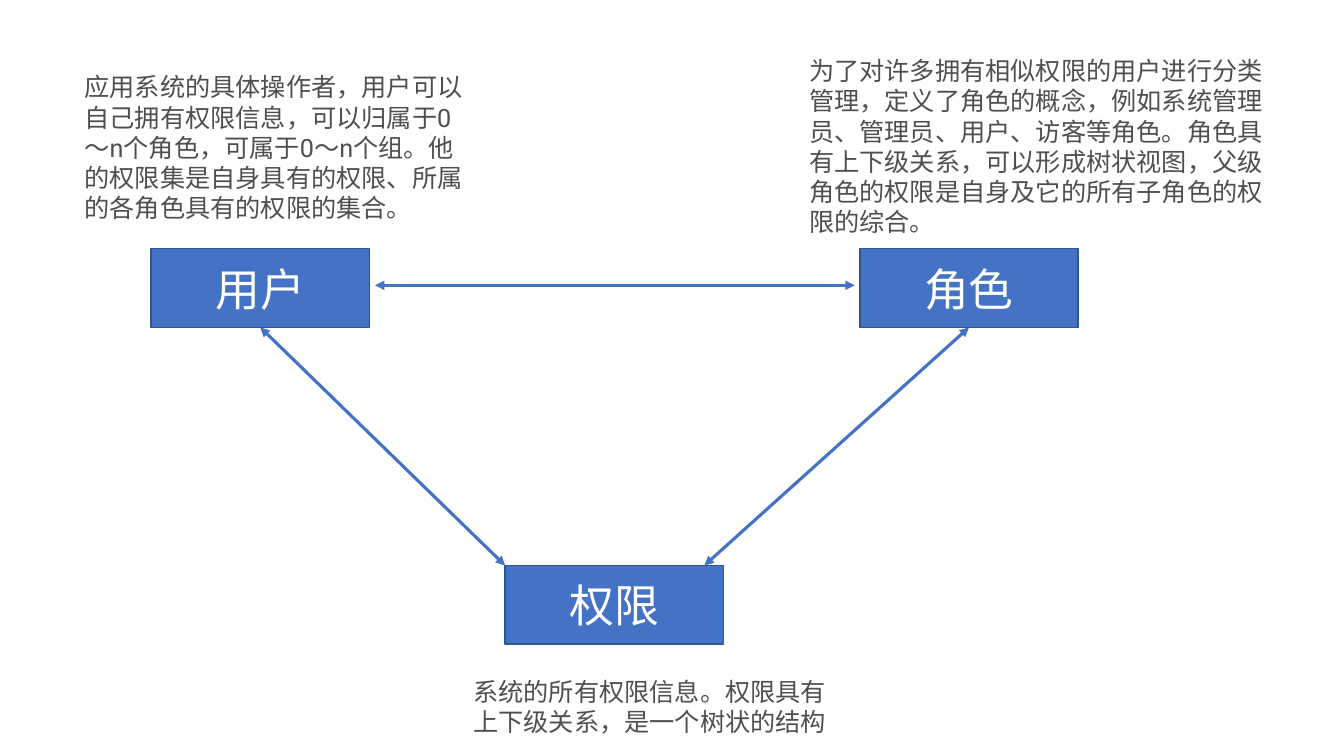
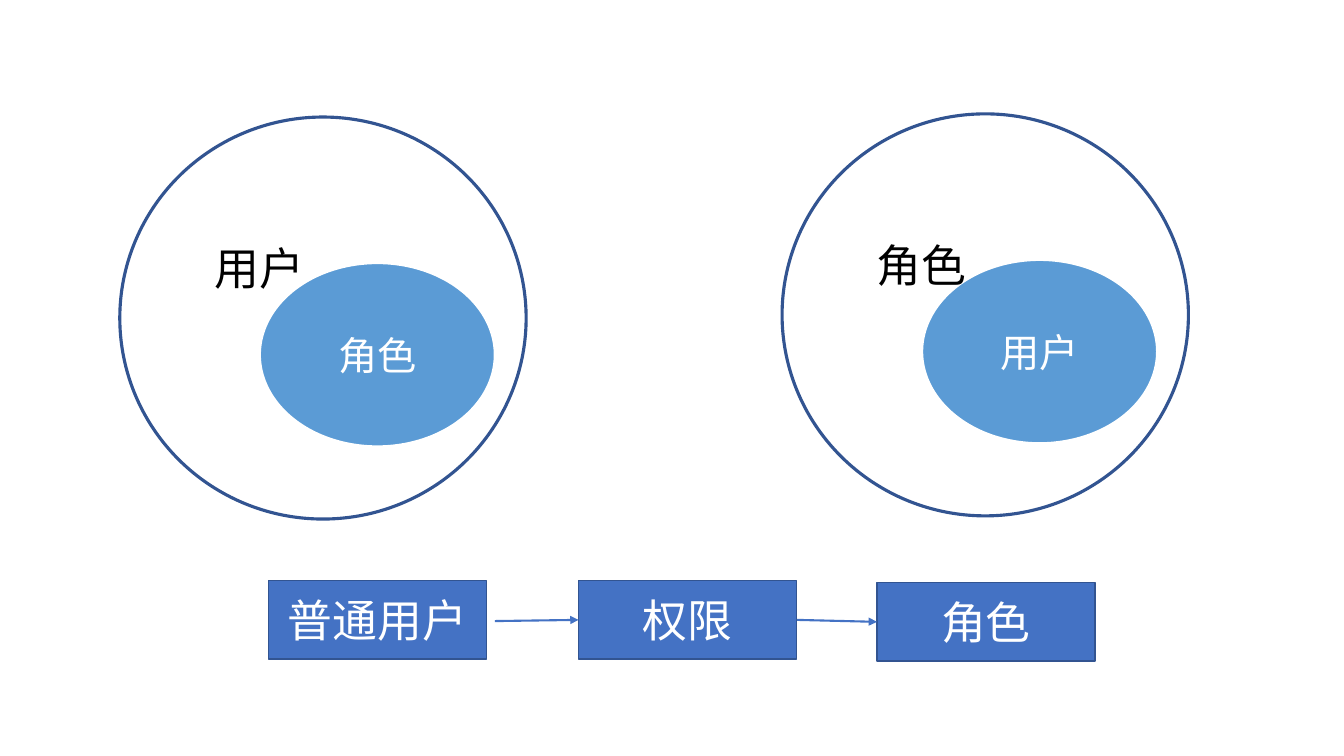
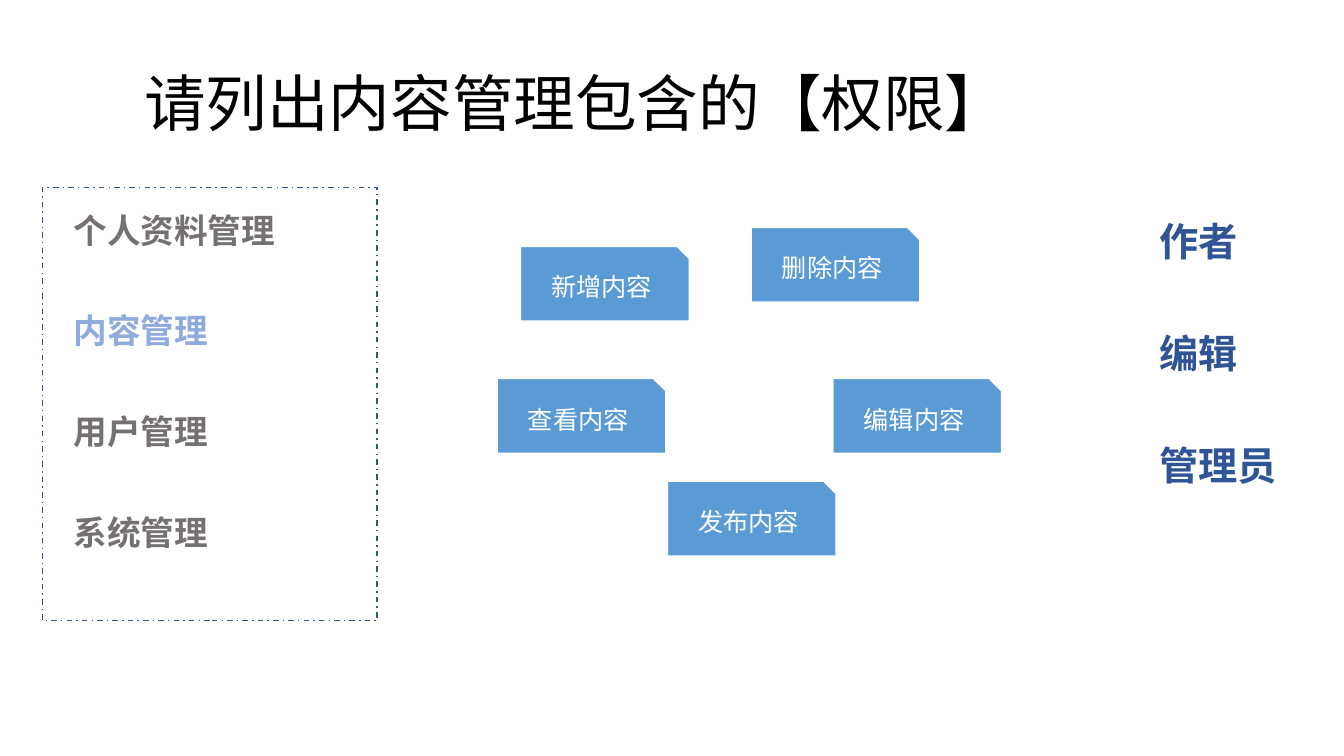
from lxml import etree
from pptx import Presentation
from pptx.dml.color import RGBColor
from pptx.enum.dml import MSO_LINE
from pptx.enum.shapes import MSO_CONNECTOR, MSO_SHAPE
from pptx.enum.text import MSO_ANCHOR, MSO_AUTO_SIZE, PP_ALIGN
from pptx.oxml.ns import qn
from pptx.util import Cm, Pt

RECTANGLE = MSO_SHAPE.RECTANGLE
OVAL = MSO_SHAPE.OVAL
SNIPPED = MSO_SHAPE.SNIP_1_RECTANGLE
STRAIGHT = MSO_CONNECTOR.STRAIGHT
DASH_DOT = MSO_LINE.DASH_DOT
LEFT, CENTER = PP_ALIGN.LEFT, PP_ALIGN.CENTER
TOP, MIDDLE = MSO_ANCHOR.TOP, MSO_ANCHOR.MIDDLE
NO_AUTOFIT = MSO_AUTO_SIZE.NONE
TWO_CONTENT_LAYOUT, BLANK_LAYOUT = 3, 6
SIDE_LEFT, SIDE_BOTTOM, SIDE_RIGHT = 1, 2, 3

WHITE = RGBColor(0xFF, 0xFF, 0xFF)
BLACK = RGBColor(0x00, 0x00, 0x00)
BLUE = RGBColor(0x44, 0x72, 0xC4)
DARK_BLUE = RGBColor(0x32, 0x54, 0x91)
SKY_BLUE = RGBColor(0x5B, 0x9B, 0xD5)
ROLE_BLUE = RGBColor(0x2F, 0x55, 0x97)
PALE_BLUE = RGBColor(0x8F, 0xAA, 0xDC)
GRAY = RGBColor(0x76, 0x71, 0x71)
TEXT_GRAY = RGBColor(0x4F, 0x4F, 0x4F)

CJK_FONT = "Noto Sans CJK SC"
NOTE_FONT = "Roboto"
BOX_SIZE = (5.5, 1.98)
PERMISSION_SIZE = (4.27, 1.9)


def write(paragraph, text, text_size, color, font=CJK_FONT, bold=False,
          align=LEFT, line=None, before=0):
    """Add a formatted run; line and before are in points."""
    paragraph.alignment = align
    paragraph.space_before = Pt(before)
    if line:
        paragraph.line_spacing = Pt(line)
    run = paragraph.add_run()
    run.text = text
    run.font.size = Pt(text_size)
    run.font.bold = bold
    run.font.color.rgb = color
    run.font.name = font
    east_asian = etree.SubElement(run._r.get_or_add_rPr(), qn("a:ea"))
    east_asian.set("typeface", CJK_FONT)


class Deck:
    """Holds the shared style and the slide being filled; lengths are in cm."""

    def __init__(self):
        self.presentation = Presentation()
        self.presentation.slide_width = Cm(33.87)
        self.presentation.slide_height = Cm(19.05)
        self.slide = None

    def add_slide(self, layout):
        self.slide = self.presentation.slides.add_slide(
            self.presentation.slide_layouts[layout])

    def shape(self, kind, position, size, fill=None, line=DARK_BLUE, width=1,
              dash=None, text=None, text_size=32):
        shape = self.slide.shapes.add_shape(
            kind, *(Cm(value) for value in position + size))
        shape.shadow.inherit = False
        if fill is None:
            shape.fill.background()
        else:
            shape.fill.solid()
            shape.fill.fore_color.rgb = fill
        shape.line.color.rgb = line
        shape.line.width = Pt(width)
        if dash:
            shape.line.dash_style = dash
        if text:
            shape.text_frame.vertical_anchor = MIDDLE
            write(shape.text_frame.paragraphs[0], text, text_size, WHITE,
                  align=CENTER)
        return shape

    def box(self, text, x, y):
        return self.shape(RECTANGLE, (x, y), BOX_SIZE, BLUE, text=text)

    def accent(self, kind, text, position, size, text_size):
        self.shape(kind, position, size, SKY_BLUE, WHITE, 1.5,
                   text=text, text_size=text_size)

    def text_box(self, text, position, size, wrap=True, **text_format):
        box = self.slide.shapes.add_textbox(
            *(Cm(value) for value in position + size))
        box.text_frame.word_wrap = wrap
        write(box.text_frame.paragraphs[0], text, **text_format)

    def arrow(self, start, end, width, both_ends=False):
        """Draw an arrow; each end is a point or a (shape, side) pair."""
        connector = self.slide.shapes.add_connector(STRAIGHT, 0, 0, 0, 0)
        if hasattr(start[0], "shape_id"):
            connector.begin_connect(*start)
        else:
            connector.begin_x, connector.begin_y = map(Cm, start)
        if hasattr(end[0], "shape_id"):
            connector.end_connect(*end)
        else:
            connector.end_x, connector.end_y = map(Cm, end)
        connector.line.color.rgb = BLUE
        connector.line.width = Pt(width)
        properties = connector._element.spPr
        line = properties.find(qn("a:ln"))
        for tag in ("a:headEnd", "a:tailEnd") if both_ends else ("a:tailEnd",):
            etree.SubElement(line, qn(tag)).set("type", "triangle")
        etree.SubElement(properties, qn("a:effectLst"))

    def placeholder(self, index, position, size, anchor):
        """Move a template placeholder and return its text frame."""
        holder = self.slide.placeholders[index]
        holder.left, holder.top = map(Cm, position)
        holder.width, holder.height = map(Cm, size)
        frame = holder.text_frame
        frame.auto_size = NO_AUTOFIT
        frame.vertical_anchor = anchor
        return frame

    def title(self, text, position, size):
        frame = self.placeholder(0, position, size, MIDDLE)
        write(frame.paragraphs[0], text, 44, BLACK, line=56)

    def bold_list(self, index, items, position, size, text_size, line, gap):
        """Fill a body placeholder with (text, colour) items without bullets."""
        frame = self.placeholder(index, position, size, TOP)
        for number, (text, color) in enumerate(items):
            paragraph = frame.add_paragraph() if number else frame.paragraphs[0]
            properties = paragraph._p.get_or_add_pPr()
            properties.set("marL", "0")
            properties.set("indent", "0")
            etree.SubElement(properties, qn("a:buNone"))
            write(paragraph, text, text_size, color, bold=True, line=line,
                  before=gap if number else 0)


def add_model_slide(deck):
    deck.add_slide(BLANK_LAYOUT)
    user = deck.box("用户", 3.81, 6.27)
    role = deck.box("角色", 21.67, 6.27)
    deck.box("权限", 12.73, 14.25)
    for start, end in (
        ((user, SIDE_BOTTOM), (12.73, 14.25)),
        ((role, SIDE_BOTTOM), (17.75, 14.25)),
        ((9.45, 7.19), (21.54, 7.19)),
    ):
        deck.arrow(start, end, 2.25, both_ends=True)
    for text, position, size in (
        ("应用系统的具体操作者，用户可以自己拥有权限信息，可以归属于0～n个角色，"
         "可属于0～n个组。他的权限集是自身具有的权限、所属的各角色具有的权限的集合。",
         (1.88, 1.68), (10.21, 4.11)),
        ("为了对许多拥有相似权限的用户进行分类管理，定义了角色的概念，"
         "例如系统管理员、管理员、用户、访客等角色。角色具有上下级关系，"
         "可以形成树状视图，父级角色的权限是自身及它的所有子角色的权限的综合。",
         (20.14, 1.27), (12.34, 4.88)),
        ("系统的所有权限信息。权限具有上下级关系，是一个树状的结构",
         (11.68, 16.92), (9.86, 1.8)),
    ):
        deck.text_box(text, position, size, text_size=18, color=TEXT_GRAY,
                      font=NOTE_FONT, line=21.6)


def add_relation_slide(deck):
    deck.add_slide(BLANK_LAYOUT)
    permission = deck.box("权限", 14.58, 14.63)
    for outer, inner, x, y in (("用户", "角色", 3.02, 2.95),
                               ("角色", "用户", 19.71, 2.87)):
        deck.accent(OVAL, inner, (x + 3.53, y + 3.68), (5.92, 4.62), 28)
        deck.shape(OVAL, (x, y), (10.24, 10.13), width=2.25)
        deck.text_box(outer, (x + 2.14, y + 2.87), (2.79, 1.63), wrap=False,
                      text_size=32, color=BLACK, line=42)
    deck.box("普通用户", 6.76, 14.63)
    role = deck.box("角色", 22.1, 14.68)
    deck.arrow((12.47, 15.65), (permission, SIDE_LEFT), 1.5)
    deck.arrow((permission, SIDE_RIGHT), (role, SIDE_LEFT), 1.5)


def add_exercise_slide(deck):
    deck.add_slide(TWO_CONTENT_LAYOUT)
    deck.title("请列出内容管理包含的【权限】", (3.38, 0.66), (29.21, 3.68))
    for text, x, y in (
        ("查看内容", 12.52, 9.53),
        ("新增内容", 13.11, 6.2),
        ("发布内容", 16.81, 12.12),
        ("编辑内容", 20.98, 9.53),
        ("删除内容", 18.92, 5.72),
    ):
        deck.accent(SNIPPED, text, (x, y), PERMISSION_SIZE, 18)
    modules = (("个人资料管理", GRAY), ("内容管理", PALE_BLUE),
               ("用户管理", GRAY), ("系统管理", GRAY))
    roles = [(text, ROLE_BLUE) for text in ("作者", "编辑", "管理员")]
    deck.bold_list(1, modules, (1.6, 5.18), (6.76, 9.83), 24, line=28, gap=44)
    deck.bold_list(2, roles, (28.96, 5.38), (4.6, 12.09), 28, line=33, gap=47)
    deck.shape(RECTANGLE, (1.07, 4.72), (8.43, 10.92), dash=DASH_DOT)


def main():
    deck = Deck()
    add_model_slide(deck)
    add_relation_slide(deck)
    add_exercise_slide(deck)
    deck.presentation.save("out.pptx")


if __name__ == "__main__":
    main()
